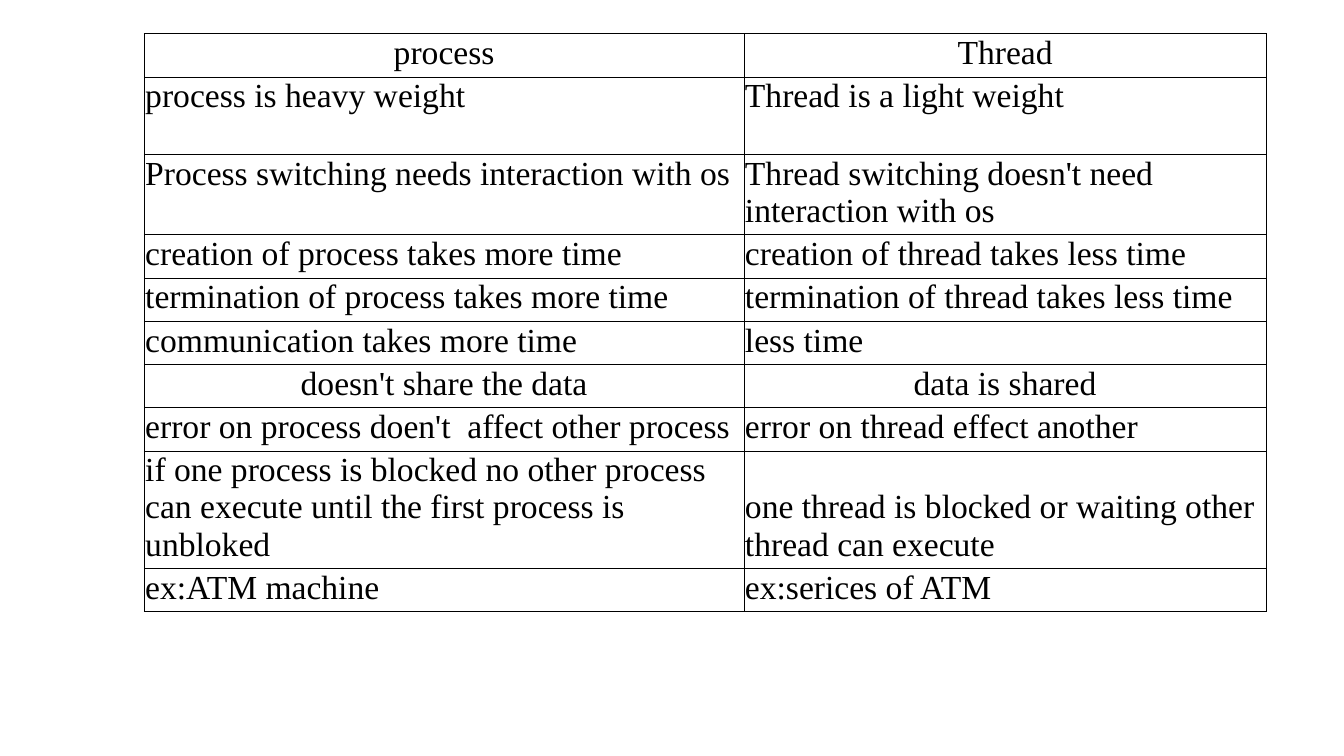
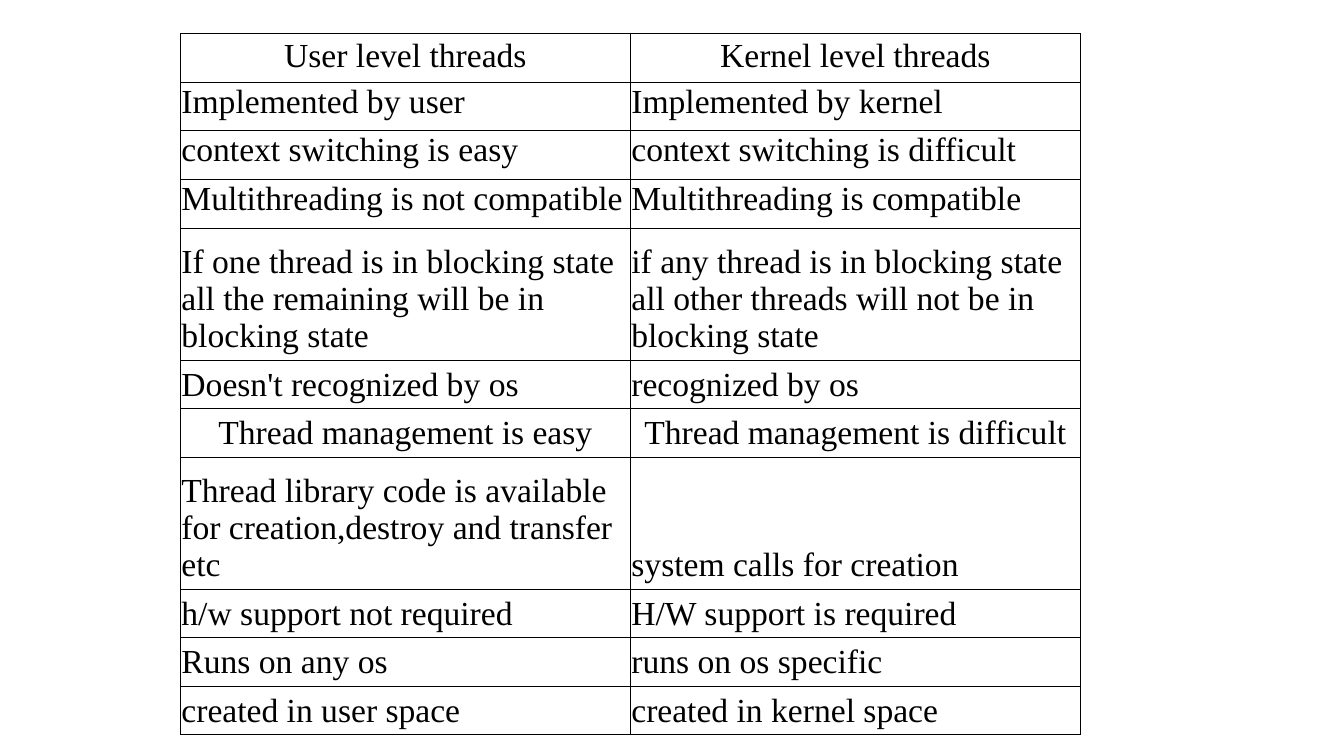
import pptx
import pptx.util
import pptx.dml.color
import pptx.enum.text
import pptx.oxml

Pt = pptx.util.Pt
Align = pptx.enum.text.PP_ALIGN
Anchor = pptx.enum.text.MSO_ANCHOR

INK = {"text": "000000", "rule": "000000"}
FONT = {"name": "Times New Roman", "size": Pt(24), "bold": False}
INSET = {"margin_left": Pt(0.72), "margin_top": Pt(0.72),
         "margin_right": Pt(0.72), "margin_bottom": Pt(3.6)}
PLAIN = {"first_row": False, "horz_banding": False}
HEAD = {"anchor": Anchor.MIDDLE, "align": Align.CENTER}
TOP = {"anchor": Anchor.TOP, "align": Align.LEFT}
LOW = {"anchor": Anchor.BOTTOM, "align": Align.LEFT}
MID = {"anchor": Anchor.BOTTOM, "align": Align.CENTER}

TABLES = [
    {"left": 103, "top": 24, "high": 443, "cols": [428.4, 373],
     "rows": [
         (27.4, HEAD, "process", "Thread"),
         (55.4, TOP, "process is heavy weight", "Thread is a light weight"),
         (47.5, TOP, "Process switching needs interaction with os",
          "Thread switching doesn't need interaction with os"),
         (27.4, TOP, "creation of process takes more time",
          "creation of thread takes less time"),
         (27.4, LOW, "termination of process takes more time",
          "termination of thread takes less time"),
         (27.4, LOW, "communication takes more time", "less time"),
         (27.4, MID, "doesn't share the data", "data is shared"),
         (27.4, LOW, "error on process doen't  affect other process",
          "error on thread effect another"),
         (68.4, LOW, "if one process is blocked no other process can execute "
          "until the first process is unbloked",
          "one thread is blocked or waiting other thread can execute"),
         (27.4, LOW, "ex:ATM machine", "ex:serices of ATM")]},
    {"left": 128.9, "top": 24, "high": 501, "cols": [321.4, 321.4],
     "rows": [
         (34.7, HEAD, "User level threads", "Kernel level threads"),
         (34.7, TOP, "Implemented by user", "Implemented by kernel"),
         (34.7, TOP, "context switching is easy",
          "context switching is difficult"),
         (34.7, TOP, "Multithreading is not compatible",
          "Multithreading is compatible"),
         (94.3, LOW, "If one thread is in blocking state all the remaining "
          "will be in blocking state",
          "if any thread is in blocking state all other threads will not be "
          "in blocking state"),
         (34.7, LOW, "Doesn't recognized by os", "recognized by os"),
         (34.7, MID, "Thread management is easy",
          "Thread management is difficult"),
         (94.3, LOW, "Thread library code is available for "
          "creation,destroy and transfer etc", "system calls for creation"),
         (34.7, LOW, "h/w support not required", "H/W support is required"),
         (34.7, LOW, "Runs on any os", "runs on os specific"),
         (34.7, LOW, "created in user space", "created in kernel space")]},
]


def apply(item, values):
    for key, value in values.items():
        setattr(item, key, value)


def edge(cell):
    props = cell._tc.get_or_add_tcPr()
    for spot, side in enumerate(("lnL", "lnR", "lnT", "lnB")):
        props.insert(spot, pptx.oxml.parse_xml(
            f'<a:{side} xmlns:a="http://schemas.openxmlformats.org/drawingml/2006/main" '
            f'w="{Pt(0.5)}"><a:solidFill><a:srgbClr val="{INK["rule"]}"/>'
            f'</a:solidFill></a:{side}>'))


def write(cell, text, look):
    apply(cell, INSET)
    cell.vertical_anchor = look["anchor"]
    cell.fill.background()
    edge(cell)
    para = cell.text_frame.paragraphs[0]
    para.alignment = look["align"]
    run = para.add_run()
    run.text = text
    apply(run.font, FONT)
    run.font.color.rgb = pptx.dml.color.RGBColor.from_string(INK["text"])


def build(slide, data):
    rows, cols = data["rows"], data["cols"]
    frame = slide.shapes.add_table(
        len(rows), len(cols), Pt(data["left"]), Pt(data["top"]),
        Pt(sum(cols)), Pt(data["high"]))
    table = frame.table
    apply(table, PLAIN)
    for col, wide in zip(table.columns, cols):
        col.width = Pt(wide)
    for row, (high, look, *texts) in zip(table.rows, rows):
        row.height = Pt(high)
        for cell, text in zip(row.cells, texts):
            write(cell, text, look)
    frame.height = Pt(data["high"])


def main():
    deck = pptx.Presentation()
    apply(deck, {"slide_width": Pt(960), "slide_height": Pt(540)})
    for data in TABLES:
        build(deck.slides.add_slide(deck.slide_layouts[6]), data)
    deck.save("out.pptx")


if __name__ == "__main__":
    main()
